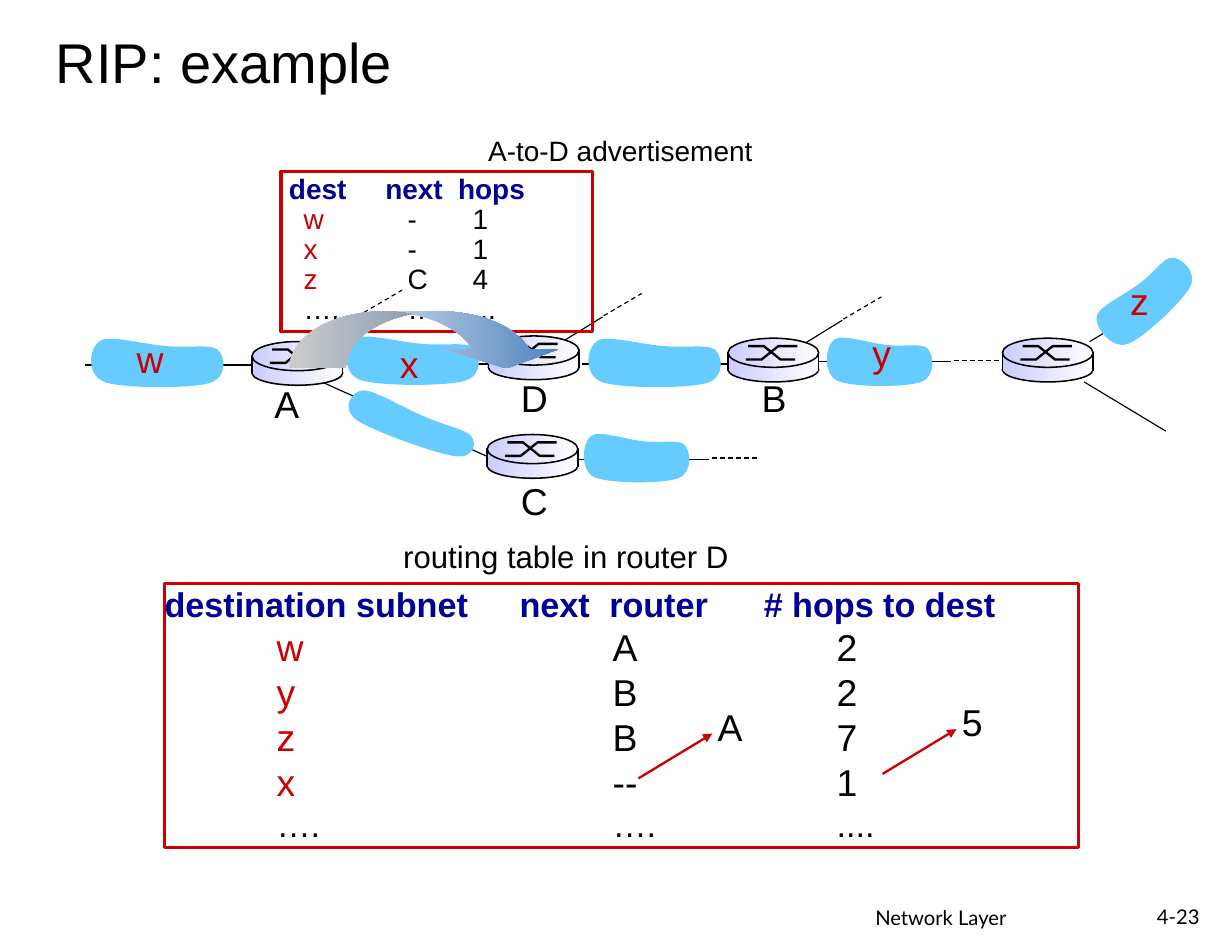
import lxml.etree
import pptx
import pptx.dml.color
import pptx.enum.dml
import pptx.enum.shapes
import pptx.enum.text
import pptx.oxml.ns
import pptx.util

INK = {"black": "000000", "red": "CC0000", "navy": "000099", "sky": "66CCFF",
       "lilac": "CCCCFF", "white": "FFFFFF", "blue": "4F81BD"}
KIND = pptx.enum.shapes.MSO_SHAPE
ALIGN = pptx.enum.text.PP_ALIGN
ANCHOR = pptx.enum.text.MSO_ANCHOR

# Content; lengths are inches until size() turns them into Cm
# Links: x1, y1, x2, y2
WIRES = [(3.04, 3.25, 4.54, 3.25), (5.2, 3.25, 6.7, 3.25),
         (0.76, 3.26, 2.26, 3.26)]
THIN = [(7.31, 3.23, 8.49, 3.23), (9.73, 3.05, 10.46, 2.61),
        (9.68, 3.41, 10.41, 3.85), (2.85, 3.4, 4.36, 4.08),
        (5.15, 4.1, 6.33, 4.1)]
DASHED = [(8.52, 3.22, 8.94, 3.22), (6.36, 4.09, 6.77, 4.09)]
STUBS = [(7.13, 3.1), (4.99, 3.07), (2.85, 3.04)]

# Subnet clouds: left, top, width, height, turn
CLOUDS = [(3.04, 2.97, 1.28, 0.48, 0), (3.03, 3.61, 1.28, 0.35, 19.7),
          (0.76, 2.99, 1.28, 0.48, 0), (5.2, 2.99, 1.28, 0.48, 0),
          (7.34, 2.98, 1.02, 0.48, 0), (9.7, 2.44, 1.04, 0.48, 316.8),
          (5.17, 3.84, 1.02, 0.48, 0)]
# Cloud outline as Bezier points in a 1.28 by 0.48 frame
CURVE = [(0.73, 0.1), (0.55, 0.09), (0.23, 0), (0.14, 0.05),
         (0.04, 0.1), (0, 0.35), (0.17, 0.42),
         (0.33, 0.48), (0.95, 0.48), (1.11, 0.43),
         (1.28, 0.38), (1.25, 0.18), (1.18, 0.13),
         (1.12, 0.08), (0.9, 0.12), (0.73, 0.1)]

ROUTERS = [(4.36, 3), (6.5, 3.02), (8.95, 3.02), (4.35, 3.88), (2.25, 3.05)]
CROSS = [[(0.16, 0.19), (0.3, 0.19), (0.45, 0.07), (0.62, 0.07)],
         [(0.18, 0.07), (0.32, 0.07), (0.47, 0.19), (0.6, 0.19)]]

# Labels: text, left, top, width, height, size, colour
LABELS = [("w", 1.11, 2.94, 0.47, 0.52, 24, "red"),
          ("x", 3.46, 2.99, 0.39, 0.52, 24, "red"),
          ("y", 7.68, 2.89, 0.39, 0.52, 24, "red"),
          ("z", 9.98, 2.42, 0.39, 0.52, 24, "red"),
          ("A", 2.34, 3.34, 0.45, 0.52, 24, "black"),
          ("C", 4.54, 4.21, 0.47, 0.52, 24, "black"),
          ("D", 4.54, 3.29, 0.47, 0.52, 24, "black"),
          ("B", 6.69, 3.29, 0.45, 0.52, 24, "black"),
          ("routing table in router D", 3.49, 4.74, 3.15, 0.45, 20, "black")]
NOTES = [("A-to-D advertisement", 4.26, 1.14, 2.59, 0.4, 18),
         ("A", 6.31, 6.24, 0.43, 0.51, 24),
         ("5", 8.49, 6.19, 0.39, 0.51, 24)]
CHANGES = [(5.7, 6.95, 6.36, 6.55), (7.88, 6.91, 8.54, 6.51)]

ROUTES = [("destination subnet", "next", "router", "# hops to dest"),
          ("w", "A", "2"), ("y", "B", "2"), ("z", "B", "7"),
          ("x", "--", "1"), ("….", "….", "....")]
ADVERT = [("dest", "next", "hops"), ("w", "-", "1"), ("x", "-", "1"),
          ("z", "C", "4"), ("….", "…", "...")]


def size(*nums):
    return [pptx.util.Cm(n * 2.54) for n in nums]


def tint(name):
    return pptx.dml.color.RGBColor.from_string(INK[name])


def add(node, tag, **attrs):
    return lxml.etree.SubElement(node, pptx.oxml.ns.qn(tag), attrs)


def style(font, pts, color, face="Arial", bold=False):
    font.size, font.name, font.bold = pptx.util.Pt(pts), face, bold
    font.color.rgb = tint(color)


def inset(frame, side, edge):
    frame.margin_left, frame.margin_right = size(side, side)
    frame.margin_top, frame.margin_bottom = size(edge, edge)


def link(home, ends, width=0.75, color="black", dash=False, head=False):
    line = home.add_connector(
        pptx.enum.shapes.MSO_CONNECTOR.STRAIGHT, *size(*ends))
    line.line.width = pptx.util.Pt(width)
    line.line.color.rgb = tint(color)
    if dash:
        line.line.dash_style = pptx.enum.dml.MSO_LINE.DASH
    props = line._element.spPr
    if head:
        add(props.find(pptx.oxml.ns.qn("a:ln")), "a:tailEnd", type="triangle")
    add(props, "a:effectLst")


def trace(home, dots, close):
    dots = [size(*dot) for dot in dots]
    pen = home.build_freeform(*dots[0])
    pen.add_line_segments(dots[1:], close=close)
    form = pen.convert_to_shape()
    form.shadow.inherit = False
    return form


def shade(home, kind, box, first, last, edge=False):
    form = home.add_shape(kind, *size(*box))
    form.shadow.inherit = False
    form.fill.gradient()
    form.fill.gradient_angle = 0
    for stop, name in zip(form.fill.gradient_stops, (first, last)):
        stop.color.rgb = tint(name)
    if edge:
        form.line.color.rgb = tint("black")
        form.line.width = pptx.util.Pt(1)
    else:
        form.line.fill.background()
    return form


def cloud(home, left, top, wide, high, turn):
    form = trace(home, [(left + x / 1.28 * wide, top + y / 0.48 * high)
                        for x, y in CURVE], True)
    # Join each three straight steps into one curve
    steps = list(form._element.iter(pptx.oxml.ns.qn("a:lnTo")))
    for i in range(0, len(CURVE) - 1, 3):
        bend = lxml.etree.Element(pptx.oxml.ns.qn("a:cubicBezTo"))
        steps[i].addprevious(bend)
        for step in steps[i:i + 3]:
            bend.append(step[0])
            step.getparent().remove(step)
    form.rotation = turn
    form.fill.solid()
    form.fill.fore_color.rgb = tint("sky")
    form.line.fill.background()


def router(home, x, y):
    home = home.add_group_shape().shapes
    for kind, drop, high, edge in [(KIND.OVAL, 0.17, 0.22, True),
                                   (KIND.RECTANGLE, 0.15, 0.14, False),
                                   (KIND.OVAL, 0, 0.26, True)]:
        shade(home, kind, (x, y + drop, 0.81, high), "lilac", "white", edge)
    for dots in CROSS:
        form = trace(home, [(x + a, y + b) for a, b in dots], False)
        form.fill.background()
        form.line.color.rgb = tint("black")
        form.line.width = pptx.util.Pt(1.5)
    for side in (x, x + 0.81):
        link(home, (side, y + 0.12, side, y + 0.29), 1)


def label(home, text, left, top, wide, high, pts, color="black",
          face="Arial", align=ALIGN.LEFT, wrap=False, pad=(0.11, 0.06)):
    frame = home.add_textbox(*size(left, top, wide, high)).text_frame
    frame.word_wrap = wrap
    inset(frame, *pad)
    frame.text = text
    frame.paragraphs[0].alignment = align
    style(frame.paragraphs[0].runs[0].font, pts, color, face)
    return frame


def grid(home, box, rows, heads, cols, sizes, gap):
    """Framed rows whose columns start at tab stops."""
    form = home.add_shape(KIND.RECTANGLE, *size(*box))
    form.shadow.inherit = False
    form.fill.background()
    form.line.color.rgb = tint("red")
    form.line.width = pptx.util.Pt(2.25)
    frame = form.text_frame
    frame.word_wrap = True
    frame.vertical_anchor = ANCHOR.TOP
    inset(frame, 0, 0)
    for i, row in enumerate(rows):
        para = frame.paragraphs[0] if i == 0 else frame.add_paragraph()
        para.alignment = ALIGN.LEFT
        para.line_spacing = gap if i else 1.0
        stops = cols if i else heads
        tabs = add(para._p.get_or_add_pPr(), "a:tabLst")
        for stop in stops:
            if stop:
                add(tabs, "a:tab", pos=str(size(stop)[0]), algn="l")
        para.text = ("\t" if stops[0] else "") + row[0]
        para.add_run().text = "".join("\t" + cell for cell in row[1:])
        edge = i in (0, len(rows) - 1)
        lead = "navy" if i == 0 else "black" if edge else "red"
        rest = "navy" if i == 0 else "black"
        for run, color in zip(para.runs, (lead, rest)):
            style(run.font, sizes[0] if edge else sizes[1], color, bold=i == 0)


deck = pptx.Presentation()
deck.slide_width, deck.slide_height = size(11, 8.5)
page = deck.slides.add_slide(deck.slide_layouts[6]).shapes

# Title and footer
title = label(page, "RIP: example", 0.5, 0.24, 4.74, 0.61, 36,
              wrap=True, pad=(0, 0))
title.vertical_anchor = ANCHOR.MIDDLE
label(page, "Network Layer", 6.66, 8.02, 3.48, 0.36, 13,
      face="Lato", align=ALIGN.CENTER, wrap=True)
label(page, "4-23", 10.01, 8.01, 0.81, 0.34, 13,
      face="Lato", align=ALIGN.RIGHT, wrap=True)

# Network
for ends in WIRES:
    link(page, ends, 1)
for ends in THIN:
    link(page, ends)
for ends in DASHED:
    link(page, ends, dash=True)
for x, y in STUBS:
    link(page, (x, y, x + 0.39, y - 0.24))
    link(page, (x + 0.4, y - 0.25, x + 0.74, y - 0.45), dash=True)
for spot in CLOUDS:
    cloud(page, *spot)
for item in LABELS:
    label(page, *item)
for spot in ROUTERS:
    router(page, *spot)

# Tables, their notes and the changed entries
grid(page, (1.47, 5.21, 8.16, 2.36), ROUTES, (0, 3.17, 3.97, 5.35),
     (1, 4, 6), (22, 24), 1.0)
grid(page, (2.51, 1.53, 2.78, 1.43), ADVERT, (0.07, 0.93, 1.58),
     (0.2, 1.13, 1.71), (18, 18), 0.9)
for item in NOTES:
    label(page, *item, pad=(0.1, 0.05))
for ends in CHANGES:
    link(page, ends, 1.5, "red", head=True)

# Advertisement arrow from A to D
arc = shade(page, KIND.CURVED_DOWN_ARROW, (2.58, 2.78, 2.45, 0.51), "white", "blue")
for i, value in enumerate((0.996, 1.992, 0.333)):
    arc.adjustments[i] = value

deck.save("out.pptx")
